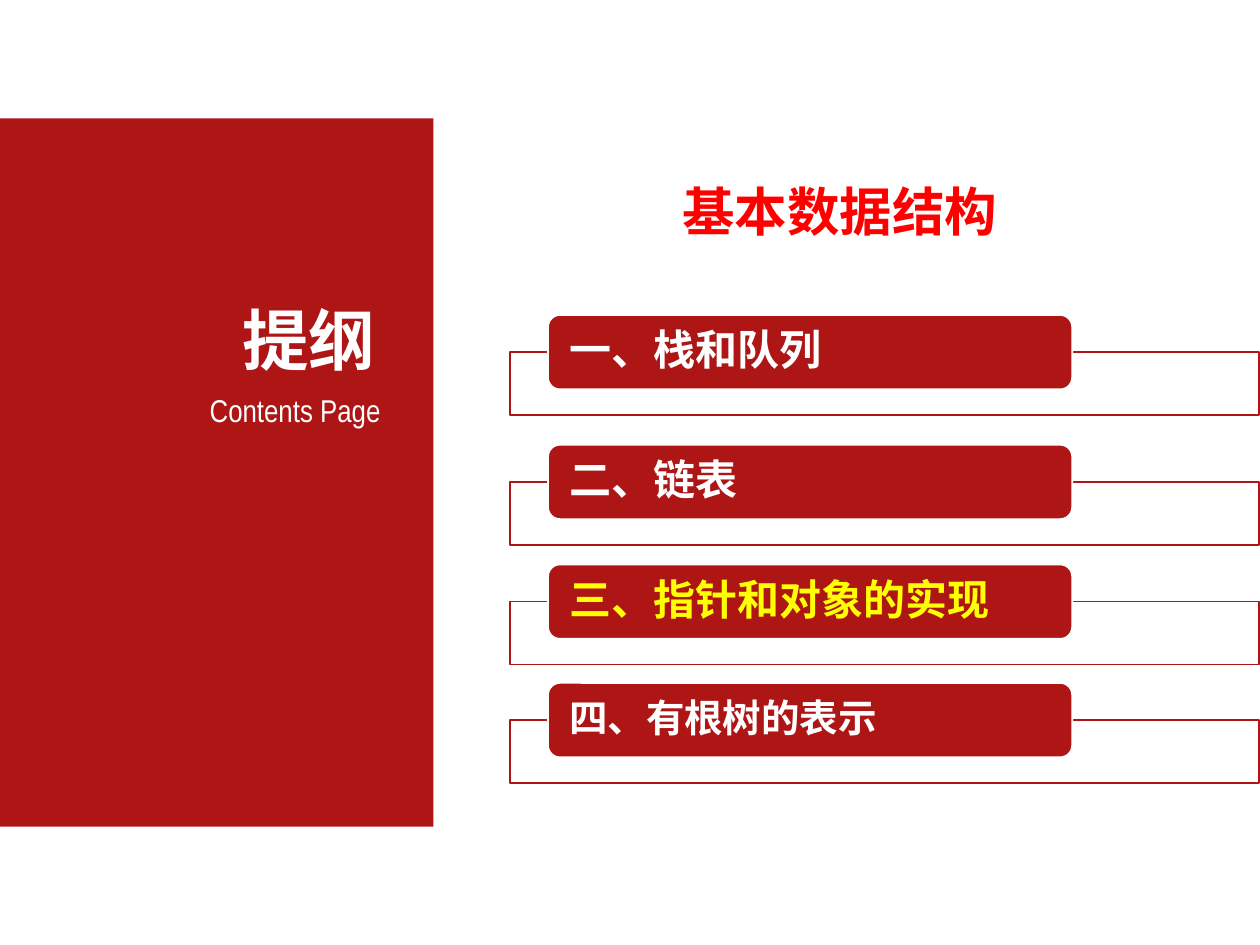
"""Build a contents slide with a red side panel and four chapter bars."""
import pptx
import pptx.util
import pptx.dml.color
import pptx.enum.shapes
import pptx.enum.text
import pptx.oxml.ns
import lxml.etree

Inches, Pt = pptx.util.Inches, pptx.util.Pt
SHAPE = pptx.enum.shapes.MSO_SHAPE
ALIGN = pptx.enum.text.PP_ALIGN
ANCHOR = pptx.enum.text.MSO_ANCHOR

RED, WHITE, YELLOW, BRIGHT_RED = "AE1616", "FFFFFF", "FFFF00", "FF0000"
TITLE = "基本数据结构"
PANEL_TEXTS = [
    ("提纲", (1.1, 2.33, 1.95, 0.72), dict(size=38, font="Arial", bold=True)),
    ("Contents Page", (0.34, 3.06, 2.75, 0.38), dict(size=18, font="Arial Narrow")),
]
CHAPTERS = [
    ("一、栈和队列", 2.5, dict(size=24, font="Cabin", color=WHITE)),
    ("二、链表", 3.53, dict(size=24, font="Cabin", color=WHITE)),
    ("三、指针和对象的实现", 4.48, dict(size=24, font="Cabin", color=YELLOW)),
    ("四、有根树的表示", 5.42, dict(size=22, font="Noto Sans CJK SC", color=WHITE)),
]
BAR_HEIGHT = 0.59


def rgb(color):
    return pptx.dml.color.RGBColor.from_string(color)


def write(sp, text, size, font, color=WHITE, bold=False, align=ALIGN.LEFT,
          anchor=ANCHOR.TOP, spacing=1.0, insets=(0.1, 0.05)):
    tf = sp.text_frame
    tf.word_wrap = True
    tf.auto_size = pptx.enum.text.MSO_AUTO_SIZE.NONE
    tf.vertical_anchor = anchor
    tf.margin_left = tf.margin_right = Inches(insets[0])
    tf.margin_top = tf.margin_bottom = Inches(insets[1])
    p = tf.paragraphs[0]
    p.alignment, p.line_spacing = align, spacing
    r = p.add_run()
    r.text = text
    r.font.size, r.font.name, r.font.bold = Pt(size), font, bold
    r.font.color.rgb = rgb(color)


def add_box(s, kind, box, fill, line=None, opacity=None):
    sp = s.shapes.add_shape(kind, *map(Inches, box))
    sp.shadow.inherit = False
    sp.fill.solid()
    sp.fill.fore_color.rgb = rgb(fill)
    if line:
        sp.line.color.rgb = rgb(line)
        sp.line.width = Pt(1)
    else:
        sp.line.fill.background()
    if opacity:
        clr = sp.fill._xPr.find(".//" + pptx.oxml.ns.qn("a:srgbClr"))
        lxml.etree.SubElement(clr, pptx.oxml.ns.qn("a:alpha"), val=str(opacity * 1000))
    return sp


def main():
    prs = pptx.Presentation()
    prs.slide_width, prs.slide_height = Inches(10), Inches(7.5)
    s = prs.slides.add_slide(prs.slide_layouts[5])

    title = s.shapes.title
    title.left, title.top, title.width, title.height = map(Inches, (3.44, 0.94, 6.45, 1.21))
    write(title, TITLE, size=30, font="Arial", color=BRIGHT_RED, bold=True,
          align=ALIGN.CENTER, anchor=ANCHOR.MIDDLE, spacing=1.5)

    add_box(s, SHAPE.RECTANGLE, (0, 0.94, 3.44, 5.62), RED)
    for text, box, style in PANEL_TEXTS:
        sp = s.shapes.add_textbox(*map(Inches, box))
        write(sp, text, align=ALIGN.RIGHT, insets=(0.07, 0.04), **style)

    for text, top, style in CHAPTERS:
        add_box(s, SHAPE.RECTANGLE, (4.05, top + BAR_HEIGHT / 2, 5.94, 0.5),
                WHITE, line=RED, opacity=90)
        bar = add_box(s, SHAPE.ROUNDED_RECTANGLE, (4.35, top, 4.16, BAR_HEIGHT),
                      RED, line=WHITE)
        bar.adjustments[0] = 0.16
        write(bar, text, bold=True, anchor=ANCHOR.MIDDLE, spacing=0.9,
              insets=(0.14, 0.02), **style)

    prs.save("out.pptx")


if __name__ == "__main__":
    main()
